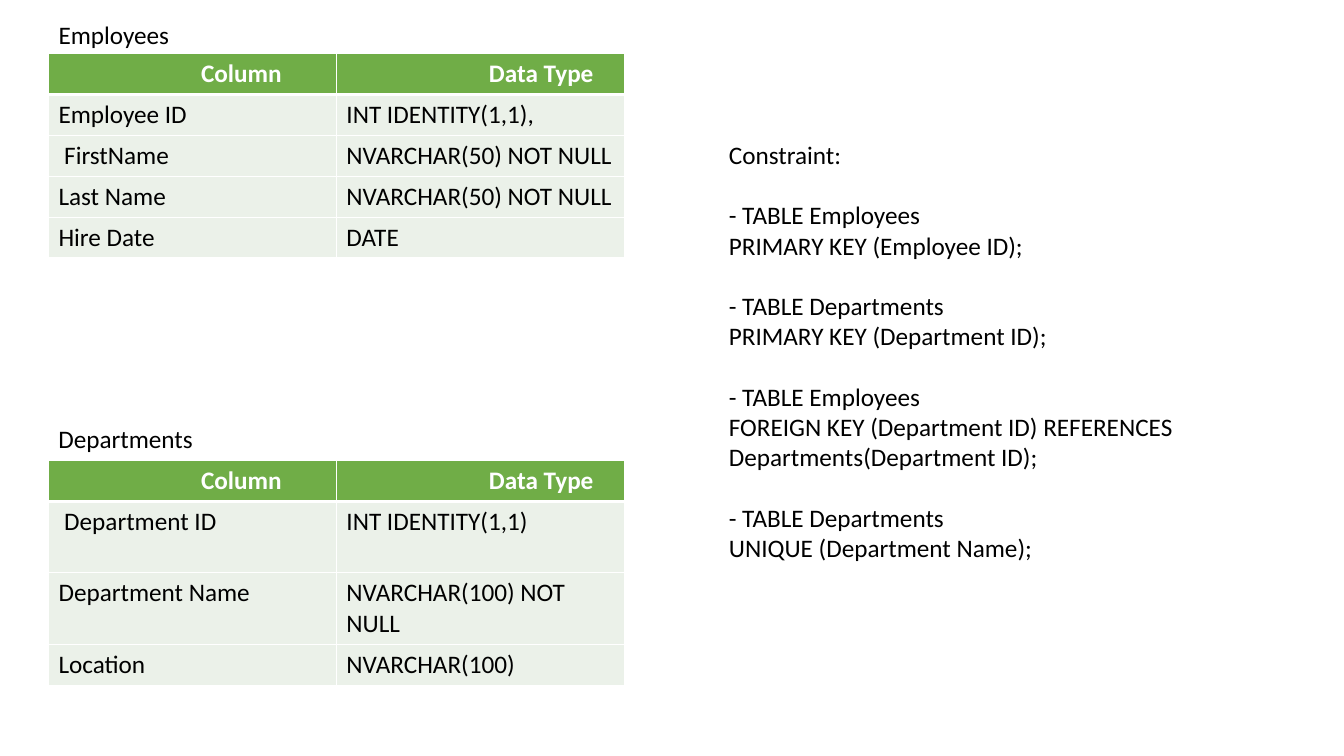
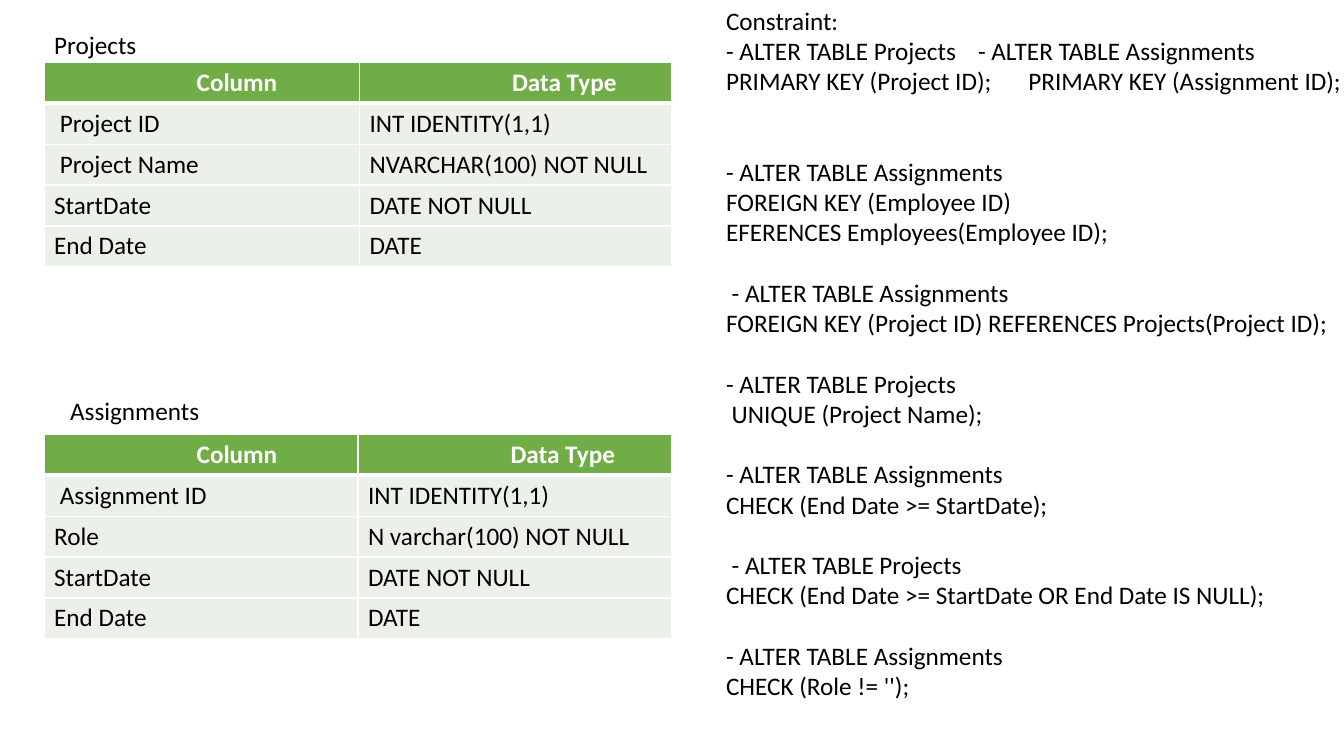
from lxml.etree import SubElement
from pptx import Presentation
from pptx.dml.color import RGBColor
from pptx.enum.text import MSO_ANCHOR, MSO_AUTO_SIZE, PP_ALIGN
from pptx.oxml.ns import qn
from pptx.util import Pt

WHITE = RGBColor(0xFF, 0xFF, 0xFF)
BLACK = RGBColor(0, 0, 0)
GREEN = RGBColor(0x70, 0xAD, 0x47)
PALE_GREEN = RGBColor(0xEB, 0xF1, 0xE9)
FONT = "Calibri"
FONT_SIZE = 18
LINE = 21.6
ROW = 29.2
TALL_ROW = 51
LABEL_HEIGHT = 29
HEADER = ("Column", "Data Type")
HEADER_INDENT = 109

SLIDES = [
    {
        "tables": [
            {
                "name": "Employees", "label": (34.6, 10, 127),
                "at": (34.6, 38.3), "columns": (205.7, 205.7), "tall": (),
                "rows": [
                    ("Employee ID", "INT IDENTITY(1,1),"),
                    (" FirstName", "NVARCHAR(50) NOT NULL"),
                    ("Last Name", "NVARCHAR(50) NOT NULL"),
                    ("Hire Date", "DATE"),
                ],
            },
            {
                "name": "Departments", "label": (34.6, 298.8, 127),
                "at": (34.6, 329), "columns": (205.7, 205.7), "tall": (1, 2),
                "rows": [
                    (" Department ID", "INT IDENTITY(1,1)"),
                    ("Department Name", "NVARCHAR(100) NOT NULL"),
                    ("Location", "NVARCHAR(100)"),
                ],
            },
        ],
        "constraints_at": (513.4, 95.8, 427.7, 312.5),
        "constraints": [
            (0, ["Constraint:"]),
            (1, ["- TABLE Employees", "PRIMARY KEY (Employee ID);"]),
            (1, ["- TABLE Departments", "PRIMARY KEY (Department ID);"]),
            (1, ["- TABLE Employees",
                 "FOREIGN KEY (Department ID) REFERENCES Departments(Department ID);"]),
            (1, ["- TABLE Departments", "UNIQUE (Department Name);"]),
        ],
        "tabs": {},
    },
    {
        "tables": [
            {
                "name": "Projects", "label": (31.5, 17.6, 201),
                "at": (31.5, 44.6), "columns": (225.3, 223), "tall": (),
                "rows": [
                    (" Project ID", "INT IDENTITY(1,1)"),
                    (" Project Name", "NVARCHAR(100) NOT NULL"),
                    ("StartDate", "DATE NOT NULL"),
                    ("End Date", "DATE"),
                ],
            },
            {
                "name": "Assignments", "label": (43, 278.9, 165),
                "at": (31.5, 310.3), "columns": (224.2, 224.2), "tall": (),
                "rows": [
                    (" Assignment ID", "INT IDENTITY(1,1)"),
                    ("Role", "N varchar(100) NOT NULL"),
                    ("StartDate", "DATE NOT NULL"),
                    ("End Date", "DATE"),
                ],
            },
        ],
        "constraints_at": (511.4, 0, 480, 530.6),
        "constraints": [
            (0, ["Constraint:",
                 "- ALTER TABLE Projects\t- ALTER TABLE Assignments",
                 "PRIMARY KEY (Project ID);\tPRIMARY KEY (Assignment ID);"]),
            (2, ["- ALTER TABLE Assignments", "FOREIGN KEY (Employee ID)",
                 "EFERENCES Employees(Employee ID);"]),
            (1, [" - ALTER TABLE Assignments",
                 "FOREIGN KEY (Project ID) REFERENCES Projects(Project ID);"]),
            (1, ["- ALTER TABLE Projects", " UNIQUE (Project Name);"]),
            (1, ["- ALTER TABLE Assignments", "CHECK (End Date >= StartDate);"]),
            (1, [" - ALTER TABLE Projects",
                 "CHECK (End Date >= StartDate OR End Date IS NULL);"]),
            (1, ["- ALTER TABLE Assignments", "CHECK (Role != '');"]),
        ],
        "tabs": {1: 220.7, 2: 218},
    },
]


def style_paragraph(para, color=BLACK, bold=False):
    para.alignment = PP_ALIGN.LEFT
    para.line_spacing = 1.0
    para.space_before = para.space_after = Pt(0)
    para.font.name = FONT
    para.font.size = Pt(FONT_SIZE)
    para.font.bold = bold
    para.font.color.rgb = color


def place(box, left, top, width, height):
    box.left, box.top, box.width, box.height = map(Pt, (left, top, width, height))
    frame = box.text_frame
    frame.word_wrap = True
    frame.auto_size = MSO_AUTO_SIZE.NONE
    frame.vertical_anchor = MSO_ANCHOR.TOP
    return frame


def fill_label(box, name, position):
    para = place(box, *position, LABEL_HEIGHT).paragraphs[0]
    para.text = name
    style_paragraph(para)


def set_borders(cell, widths):
    properties = cell._tc.get_or_add_tcPr()
    for side, width in widths.items():
        line = SubElement(properties, qn(f"a:ln{side}"), w=str(Pt(width)))
        fill = SubElement(line, qn("a:solidFill"))
        SubElement(fill, qn("a:srgbClr"), val=str(WHITE))


def add_column_table(page, entry):
    rows = [HEADER] + entry["rows"]
    heights = [TALL_ROW if index in entry["tall"] else ROW for index in range(len(rows))]
    left, top = entry["at"]
    table = page.shapes.add_table(
        len(rows), len(HEADER), Pt(left), Pt(top),
        Pt(sum(entry["columns"])), Pt(sum(heights)),
    ).table
    table.horz_banding = False
    for column, width in zip(table.columns, entry["columns"]):
        column.width = Pt(width)
    for index, texts in enumerate(rows):
        is_header = index == 0
        table.rows[index].height = Pt(heights[index])
        for cell, text in zip(table.rows[index].cells, texts):
            set_borders(cell, {"L": 1, "R": 1, "T": 3 if index == 1 else 1,
                               "B": 3 if is_header else 1})
            cell.fill.solid()
            cell.fill.fore_color.rgb = GREEN if is_header else PALE_GREEN
            if is_header:
                cell.margin_left = Pt(HEADER_INDENT)
            cell.text = text
            style_paragraph(cell.text_frame.paragraphs[0],
                            WHITE if is_header else BLACK, is_header)


def fill_constraints(box, content):
    frame = place(box, *content["constraints_at"])
    lines = [(gap if index == 0 else 0, text)
             for gap, group in content["constraints"]
             for index, text in enumerate(group)]
    for index, (gap, text) in enumerate(lines):
        para = frame.add_paragraph() if index else frame.paragraphs[0]
        para.text = text
        style_paragraph(para)
        para.space_before = Pt(gap * LINE)
        properties = para._p.get_or_add_pPr()
        properties.set("marL", "0")
        properties.set("indent", "0")
        SubElement(properties, qn("a:buNone"))
        if index in content["tabs"]:
            stops = SubElement(properties, qn("a:tabLst"))
            SubElement(stops, qn("a:tab"), pos=str(Pt(content["tabs"][index])), algn="l")
        for font_defaults in properties.findall(qn("a:defRPr")):
            properties.append(font_defaults)


def build_slide(deck, content):
    page = deck.slides.add_slide(deck.slide_layouts[1])
    title, body = page.placeholders
    for index, entry in enumerate(content["tables"]):
        add_column_table(page, entry)
        label = page.shapes.add_textbox(0, 0, 0, 0) if index else title
        fill_label(label, entry["name"], entry["label"])
    fill_constraints(body, content)


def main():
    deck = Presentation()
    deck.slide_width, deck.slide_height = Pt(960), Pt(540)
    for content in SLIDES:
        build_slide(deck, content)
    deck.save("out.pptx")


if __name__ == "__main__":
    main()
